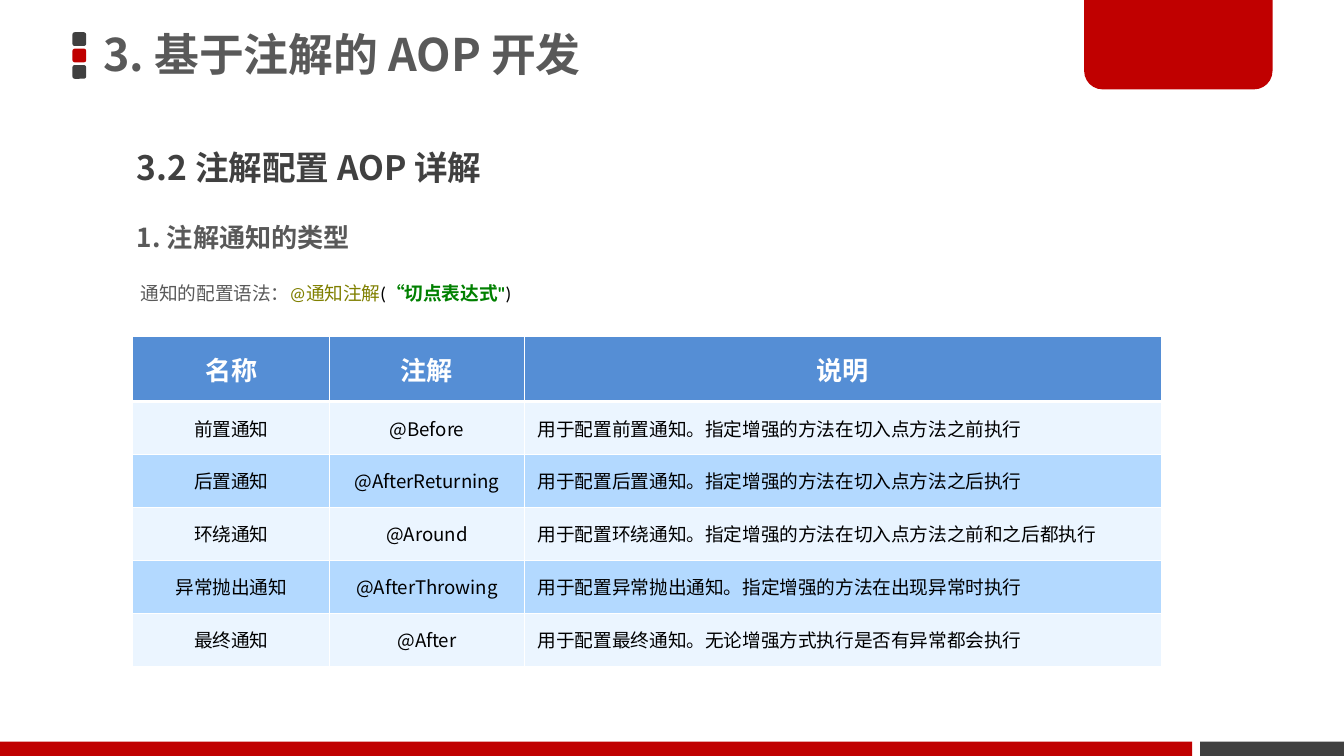
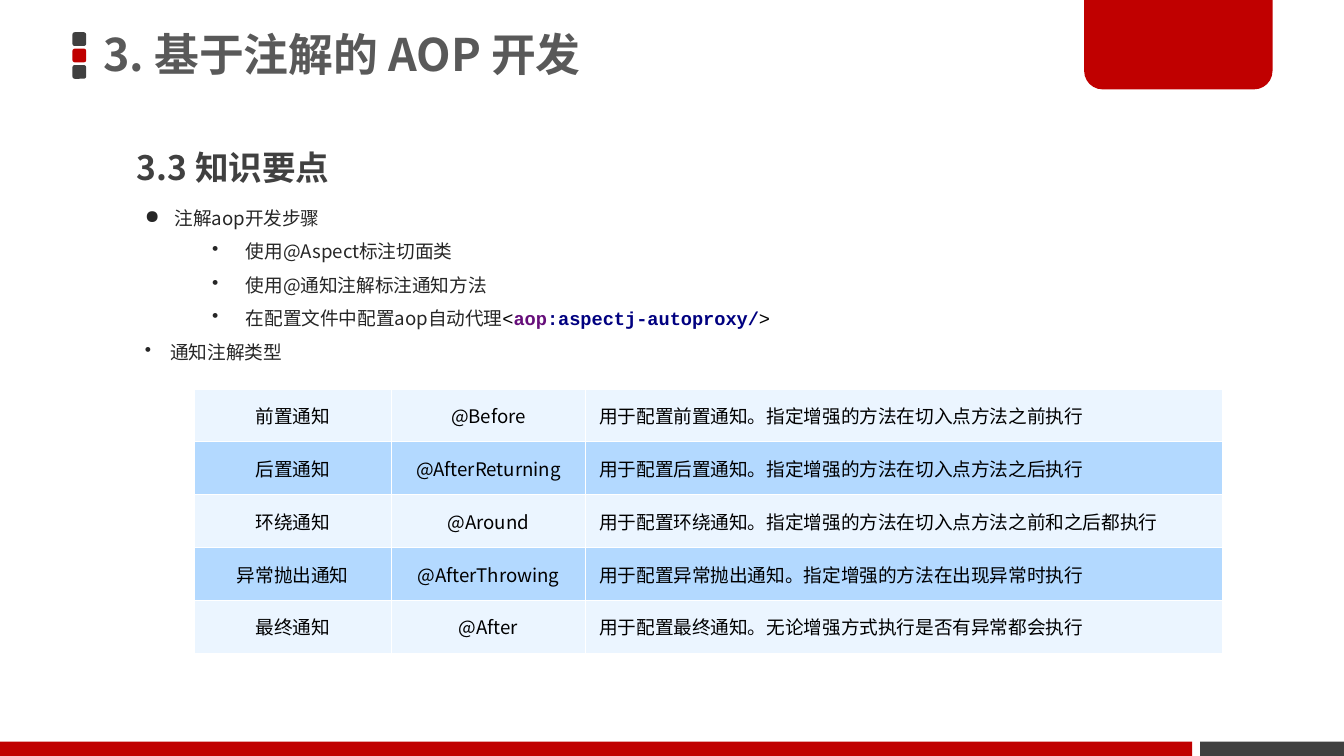
from dataclasses import dataclass

from lxml.etree import SubElement
from pptx import Presentation
from pptx.dml.color import RGBColor
from pptx.enum.shapes import MSO_SHAPE
from pptx.enum.text import MSO_ANCHOR, PP_ALIGN
from pptx.oxml.ns import qn
from pptx.util import Cm, Pt


@dataclass(frozen=True)
class Theme:
    red: str = "C00000"
    dark: str = "404040"
    grey: str = "595959"
    ink: str = "262626"
    black: str = "000000"
    white: str = "FFFFFF"
    olive: str = "808000"
    green: str = "008000"
    purple: str = "660E7A"
    navy: str = "000080"
    header: str = "558ED5"
    bands: tuple = ("EBF5FF", "B3D9FF")
    font: str = "Noto Sans CJK SC"
    latin: str = "Calibri"
    code: str = "Courier New"
    title: int = 24
    section: int = 18
    heading: int = 14
    body: int = 10
    thin: float = 0.45
    thick: float = 1.47


T = Theme()

CHAPTER = "3. 基于注解的 AOP 开发"
HEADER = ("名称", "注解", "说明")
ADVICE = [
    ("前置通知", "@Before", "用于配置前置通知。指定增强的方法在切入点方法之前执行"),
    ("后置通知", "@AfterReturning", "用于配置后置通知。指定增强的方法在切入点方法之后执行"),
    ("环绕通知", "@Around", "用于配置环绕通知。指定增强的方法在切入点方法之前和之后都执行"),
    ("异常抛出通知", "@AfterThrowing", "用于配置异常抛出通知。指定增强的方法在出现异常时执行"),
    ("最终通知", "@After", "用于配置最终通知。无论增强方式执行是否有异常都会执行"),
]
COLUMNS = (3.72, 3.68, 12.04)
HEADER_HEIGHT, ROW_HEIGHT = 1.23, 1.0


# Text helpers
def style(r, size, color, bold=False, font=T.font):
    r.font.size = Pt(size)
    r.font.bold = bold
    r.font.name = font
    r.font.color.rgb = RGBColor.from_string(color)
    SubElement(r.font._element, qn("a:ea"), typeface=T.font)


def add_runs(p, parts, size):
    """Each part is (text, color, bold, font)."""
    for text, color, bold, font in parts:
        r = p.add_run()
        r.text = text
        style(r, size, color, bold, font)


def text_box(slide, x, y, w, h, margins=(0.25, 0.13)):
    tf = slide.shapes.add_textbox(Cm(x), Cm(y), Cm(w), Cm(h)).text_frame
    tf.word_wrap = True
    tf.margin_left = tf.margin_right = Cm(margins[0])
    tf.margin_top = tf.margin_bottom = Cm(margins[1])
    return tf


def heading(slide, text, x, y, w, h, size, color):
    tf = text_box(slide, x, y, w, h)
    tf.text = text
    p = tf.paragraphs[0]
    p.line_spacing = 1.5
    style(p.runs[0], size, color, True)


def bullet(p, char, hang, left):
    pPr = p._p.get_or_add_pPr()
    pPr.set("marL", str(Cm(left)))
    pPr.set("indent", str(-Cm(hang)))
    SubElement(SubElement(pPr, qn("a:buClr")), qn("a:srgbClr"), val=T.ink)
    SubElement(pPr, qn("a:buChar"), char=char)


# Frame shared by the slides
def block(slide, kind, x, y, w, h, color, adjustments=()):
    sp = slide.shapes.add_shape(kind, Cm(x), Cm(y), Cm(w), Cm(h))
    sp.shadow.inherit = False
    sp.fill.solid()
    sp.fill.fore_color.rgb = RGBColor.from_string(color)
    sp.line.fill.background()
    for i, value in enumerate(adjustments):
        sp.adjustments[i] = value


def title_marks(slide, x, y, side=0.26, step=0.31):
    for i, color in enumerate((T.dark, T.red, T.dark)):
        block(slide, MSO_SHAPE.ROUNDED_RECTANGLE, x, y + i * step,
              side, side, color, (0.17,))


def footer(slide, y, h, width=25.4, split=22.53, gap=0.15):
    right = split + gap
    block(slide, MSO_SHAPE.RECTANGLE, right, y, width - right, h, T.dark)
    block(slide, MSO_SHAPE.RECTANGLE, 0, y, split, h, T.red)


def chapter_title(slide, x, y, w, h):
    tf = text_box(slide, x, y, w, h, (0.2, 0.1))
    tf.vertical_anchor = MSO_ANCHOR.MIDDLE
    tf.text = CHAPTER
    p = tf.paragraphs[0]
    p.line_spacing = 0.9
    style(p.runs[0], T.title, T.grey, True)


def base_slide(prs, section):
    slide = prs.slides.add_slide(prs.slide_layouts[6])
    title_marks(slide, 1.37, 0.61)
    footer(slide, 14.02, 0.27)
    block(slide, MSO_SHAPE.ROUND_2_SAME_RECTANGLE, 20.49, -0.05, 3.56, 1.74,
          T.red, (0, 0.2))
    chapter_title(slide, 1.75, -0.05, 14.96, 2.26)
    heading(slide, section, 2.34, 2.26, 9.75, 1.4, T.section, T.dark)
    return slide


# Table of advice types
def cell_borders(cell, top, bottom):
    tcPr = cell._tc.get_or_add_tcPr()
    for tag, width in (("lnL", T.thin), ("lnR", T.thin), ("lnT", top), ("lnB", bottom)):
        ln = SubElement(tcPr, qn("a:" + tag), w=str(Pt(width)))
        SubElement(SubElement(ln, qn("a:solidFill")), qn("a:srgbClr"), val=T.white)


def fill_cell(cell, text, fill, centred, is_header, top, bottom):
    cell_borders(cell, top, bottom)
    cell.fill.solid()
    cell.fill.fore_color.rgb = RGBColor.from_string(fill)
    cell.text_frame.text = text
    p = cell.text_frame.paragraphs[0]
    p.alignment = PP_ALIGN.CENTER if centred else PP_ALIGN.LEFT
    if is_header:
        p.line_spacing = Pt(24)
        style(p.runs[0], T.heading, T.white, True)
    else:
        cell.vertical_anchor = MSO_ANCHOR.MIDDLE
        style(p.runs[0], T.body, T.black)


def advice_table(slide, x, y, with_header):
    rows = [HEADER] * with_header + ADVICE
    heights = [HEADER_HEIGHT] * with_header + [ROW_HEIGHT] * len(ADVICE)
    table = slide.shapes.add_table(len(rows), len(COLUMNS), Cm(x), Cm(y),
                                   Cm(sum(COLUMNS)), Cm(sum(heights))).table
    table.first_row = with_header
    table.horz_banding = False
    for column, width in zip(table.columns, COLUMNS):
        column.width = Cm(width)
    for i, (row, height) in enumerate(zip(rows, heights)):
        table.rows[i].height = Cm(height)
        n = i - with_header  # index among the advice rows
        is_header = n < 0
        fill = T.header if is_header else T.bands[n % 2]
        top = T.thick if n == 0 else T.thin
        bottom = T.thick if is_header else T.thin
        for j, text in enumerate(row):
            fill_cell(table.cell(i, j), text, fill, is_header or j < 2,
                      is_header, top, bottom)


# Slide 1: advice annotations
def syntax_line(slide, x, y, w, h):
    p = text_box(slide, x, y, w, h).paragraphs[0]
    p.line_spacing = 1.5
    add_runs(p, [
        ("通知的配置语法：", T.grey, False, T.font),
        ("@通知注解", T.olive, False, T.latin),
        ("(", T.black, False, T.latin),
        ("“切点表达式\"", T.green, True, T.latin),
        (")", T.black, False, T.latin),
    ], T.body)


def advice_slide(prs):
    slide = base_slide(prs, "3.2 注解配置 AOP 详解")
    heading(slide, "1. 注解通知的类型", 2.34, 3.76, 19.61, 1.14, T.heading, T.grey)
    advice_table(slide, 2.51, 6.36, True)
    syntax_line(slide, 2.41, 4.98, 19.46, 0.89)


# Slide 2: key points
def key_points(slide, x, y, w, h):
    def plain(text):
        return text, T.ink, False, T.font

    top, sub, last = ("●", 0.56, 0.56), ("•", 0.64, 1.91), ("•", 0.48, 0.48)
    points = [
        (0, top, [plain("注解aop开发步骤")]),
        (1, sub, [plain("使用@Aspect标注切面类")]),
        (1, sub, [plain("使用@通知注解标注通知方法")]),
        (1, sub, [plain("在配置文件中配置aop自动代理"),
                  ("<", T.black, False, T.code),
                  ("aop", T.purple, True, T.code),
                  (":aspectj-autoproxy/", T.navy, True, T.code),
                  (">", T.black, False, T.code)]),
        (0, last, [plain("通知注解类型")]),
    ]
    tf = text_box(slide, x, y, w, h)
    for i, (level, mark, parts) in enumerate(points):
        p = tf.add_paragraph() if i else tf.paragraphs[0]
        p.level = level
        bullet(p, *mark)
        p.line_spacing = 1.5
        add_runs(p, parts, T.body)


def summary_slide(prs):
    slide = base_slide(prs, "3.3 知识要点")
    key_points(slide, 2.49, 3.56, 19.61, 10.44)
    advice_table(slide, 3.67, 7.35, False)


def main():
    prs = Presentation()
    prs.slide_width, prs.slide_height = Cm(25.4), Cm(14.29)
    advice_slide(prs)
    summary_slide(prs)
    prs.save("out.pptx")


if __name__ == "__main__":
    main()
